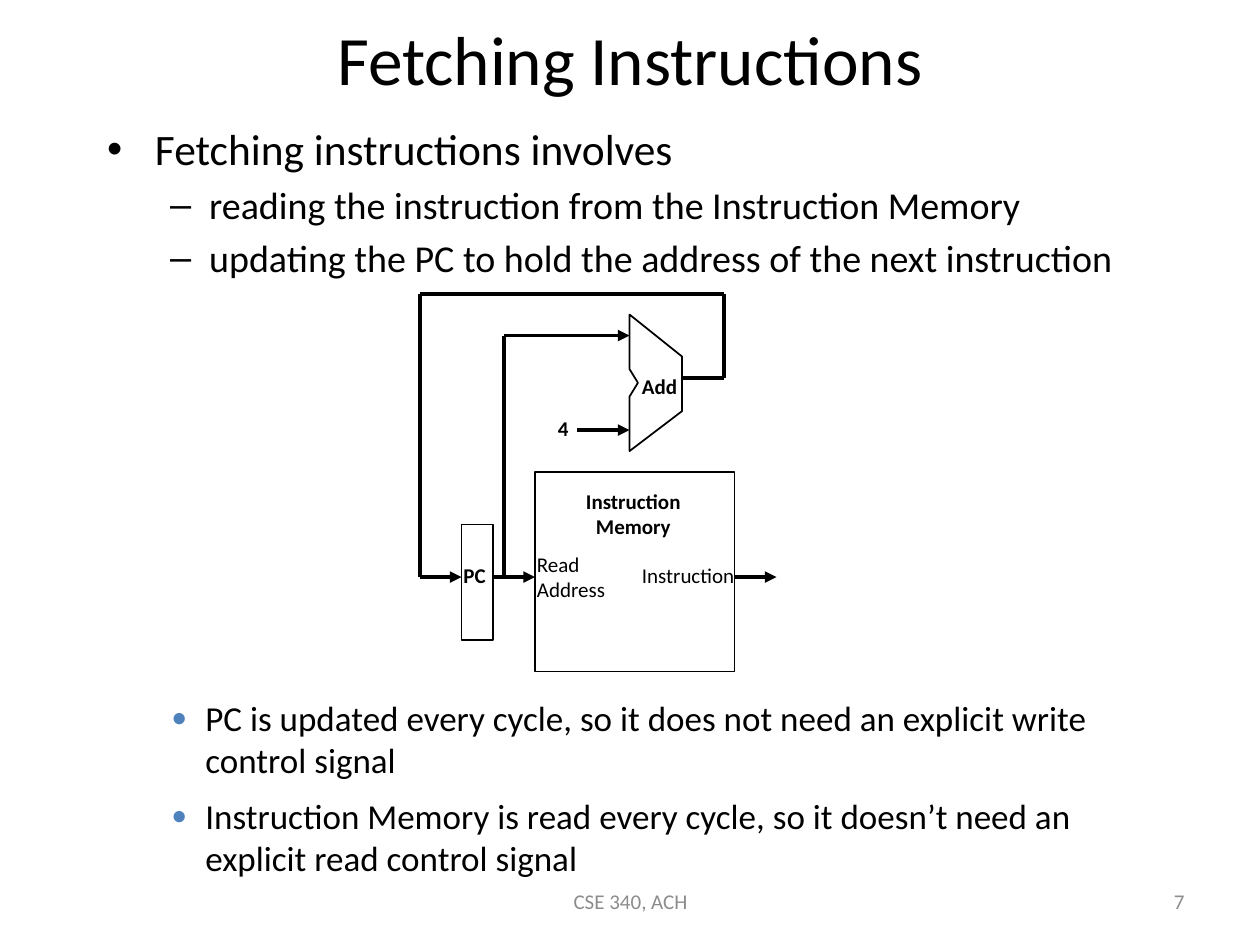
from lxml import etree
from pptx import Presentation
from pptx.dml.color import RGBColor
from pptx.enum.shapes import MSO_CONNECTOR, MSO_SHAPE
from pptx.enum.text import MSO_ANCHOR, MSO_AUTO_SIZE, PP_ALIGN
from pptx.oxml.ns import qn
from pptx.util import Inches, Pt

BLACK = RGBColor(0x00, 0x00, 0x00)
GRAY = RGBColor(0x8C, 0x8C, 0x8C)
BLUE = RGBColor(0x4F, 0x81, 0xBD)
FONT = "Calibri"
LEFT, CENTER, RIGHT = PP_ALIGN.LEFT, PP_ALIGN.CENTER, PP_ALIGN.RIGHT
TOP, MIDDLE = MSO_ANCHOR.TOP, MSO_ANCHOR.MIDDLE
FIT_SHAPE, NO_FIT = MSO_AUTO_SIZE.SHAPE_TO_FIT_TEXT, MSO_AUTO_SIZE.NONE
STRAIGHT, RECTANGLE = MSO_CONNECTOR.STRAIGHT, MSO_SHAPE.RECTANGLE
GRID = 1 / 12  # the diagram sits on a grid of twelfths of an inch


def place(sp, box):
    sp.left, sp.top, sp.width, sp.height = (Inches(v) for v in box)


def write(p, text, size=12, color=BLACK, bold=False, align=LEFT, before=0):
    p.alignment = align
    p.space_before = Pt(before)
    r = p.add_run()
    r.text = text
    r.font.name, r.font.size, r.font.bold = FONT, Pt(size), bold
    r.font.color.rgb = color


def set_bullet(p, char, margin, indent, color=None, percent=None):
    pPr = p._p.get_or_add_pPr()
    pPr.set("marL", str(Inches(margin)))
    pPr.set("indent", str(Inches(indent)))
    if color is not None:
        clr = etree.SubElement(pPr, qn("a:buClr"))
        etree.SubElement(clr, qn("a:srgbClr"), val=str(color))
    if percent:
        etree.SubElement(pPr, qn("a:buSzPct"), val=str(percent * 1000))
    etree.SubElement(pPr, qn("a:buFont"), typeface="Arial")
    etree.SubElement(pPr, qn("a:buChar"), char=char)


def add_label(slide, box, lines, wrap=False, anchor=TOP, **style):
    sp = slide.shapes.add_textbox(*(Inches(v) for v in box))
    tf = sp.text_frame
    tf.word_wrap, tf.vertical_anchor = wrap, anchor
    tf.auto_size = NO_FIT if wrap else FIT_SHAPE
    for i, line in enumerate(lines):
        write(tf.add_paragraph() if i else tf.paragraphs[0], line, **style)


def outline(sp):
    sp.shadow.inherit = False
    sp.fill.background()
    sp.line.color.rgb = BLACK
    sp.line.width = Pt(1)


def add_wire(slide, start, end, arrow=False):
    wire = slide.shapes.add_connector(STRAIGHT, *(Inches(v) for v in (*start, *end)))
    wire.line.color.rgb = BLACK
    wire.line.width = Pt(2.25)
    if arrow:
        etree.SubElement(wire.line._get_or_add_ln(), qn("a:tailEnd"), type="triangle")
    etree.SubElement(wire._element.spPr, qn("a:effectLst"))


def add_title(slide, box):
    title = slide.shapes.title
    place(title, box)
    tf = title.text_frame
    tf.vertical_anchor, tf.auto_size = MIDDLE, NO_FIT
    write(tf.paragraphs[0], "Fetching Instructions", size=39.6, align=CENTER)


def add_intro(slide, box):
    body = slide.placeholders[1]
    place(body, box)
    tf = body.text_frame
    tf.auto_size = NO_FIT
    p = tf.paragraphs[0]
    set_bullet(p, "•", 0.38, -0.38)
    write(p, "Fetching instructions involves", size=24.8)
    for text in ("reading the instruction from the Instruction Memory",
                 "updating the PC to hold the address of the next instruction"):
        p = tf.add_paragraph()
        p.level = 1
        set_bullet(p, "–", 0.81, -0.31)
        write(p, text, size=21.7, before=4.3)


def add_datapath(slide, box):
    left, top = box[:2]

    def at(x, y):
        return left + x * GRID, top + y * GRID

    # Adder
    points = [tuple(Inches(v) for v in at(x, y)) for x, y in (
        (20, 2), (25, 6), (25, 11.2), (20, 15), (20, 9.8), (20.8, 8.5), (20, 7.2))]
    builder = slide.shapes.build_freeform(*points[0], scale=1.0)
    builder.add_line_segments(points[1:], close=True)
    outline(builder.convert_to_shape())

    # Instruction memory and PC register
    for x, y, w, h in ((11, 17, 19, 19), (4, 22, 3, 11)):
        size = (w * GRID, h * GRID)
        outline(slide.shapes.add_shape(RECTANGLE, *(Inches(v) for v in (*at(x, y), *size))))

    # Wires, then arrows
    for start, end in (((0, 0), (29, 0)), ((29, 0), (29, 8)), ((25, 8), (29, 8)),
                       ((0, 0), (0, 27)), ((8, 4), (8, 27))):
        add_wire(slide, at(*start), at(*end))
    for start, end in (((0, 27), (4, 27)), ((7, 27), (11, 27)), ((30, 27), (34, 27)),
                       ((8, 4), (20, 4)), ((15, 13), (20, 13))):
        add_wire(slide, at(*start), at(*end), arrow=True)

    # Labels
    for x, y, w, h, lines, bold, align in (
            (10, 24, 0.81, 0.5, ["Read", "Address"], False, LEFT),
            (20, 25, 0.97, 0.3, ["Instruction"], False, LEFT),
            (14, 18, 1.06, 0.5, ["Instruction", "Memory"], True, CENTER),
            (20, 7, 0.53, 0.3, ["Add"], True, LEFT),
            (3, 25, 0.43, 0.3, ["PC"], True, LEFT),
            (12, 11, 0.29, 0.3, ["4"], True, LEFT)):
        add_label(slide, (*at(x, y), w, h), lines, bold=bold, align=align)


def add_notes_on_signals(slide, box):
    sp = slide.shapes.add_textbox(*(Inches(v) for v in box))
    tf = sp.text_frame
    tf.word_wrap = True
    tf.margin_left = tf.margin_right = Inches(0.07)
    tf.margin_top = tf.margin_bottom = Inches(0.03)
    for i, text in enumerate((
            "PC is updated every cycle, so it does not need an explicit write control signal",
            "Instruction Memory is read every cycle, so it doesn’t need an explicit "
            "read control signal")):
        p = tf.add_paragraph() if i else tf.paragraphs[0]
        p.level = 1
        set_bullet(p, "●", 0.81, -0.27, color=BLUE, percent=75)
        write(p, text, size=20, before=8 if i else 0)


def add_footer(slide, box):
    left, top, width, height = box
    style = {"wrap": True, "anchor": MIDDLE, "color": GRAY}
    add_label(slide, (left + 2.92, top, 3.17, height), ["CSE 340, ACH"], align=CENTER, **style)
    add_label(slide, (left + width - 2.33, top, 2.33, height), ["7"], align=RIGHT, **style)


def main():
    prs = Presentation()
    prs.slide_width, prs.slide_height = Inches(10), Inches(7.5)
    slide = prs.slides.add_slide(prs.slide_layouts[1])
    add_title(slide, (0.5, 0.17, 9, 0.58))
    add_intro(slide, (0.75, 0.92, 8.58, 1.25))
    add_datapath(slide, (3.33, 2.33, 2.83, 3))
    add_notes_on_signals(slide, (0.75, 5.5, 8.58, 1.52))
    add_footer(slide, (0.5, 6.95, 9, 0.4))
    prs.save("out.pptx")


if __name__ == "__main__":
    main()
